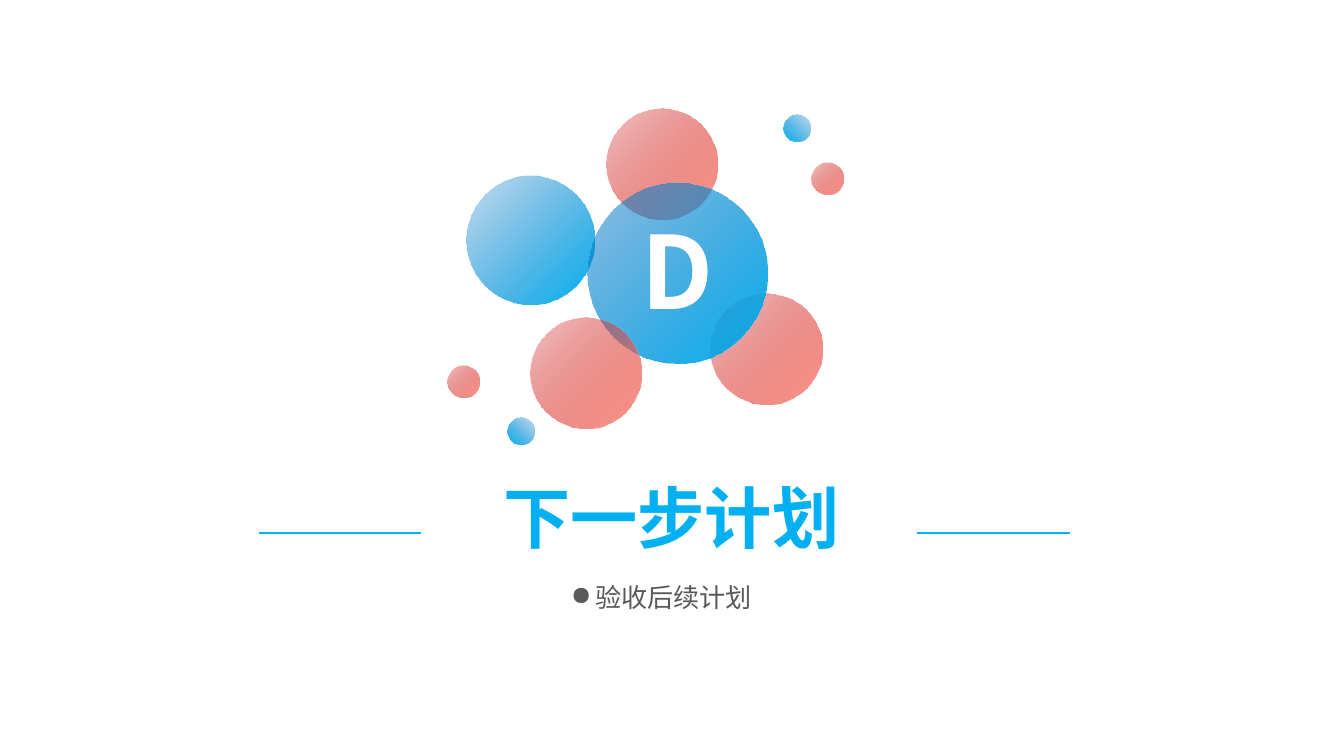
from dataclasses import dataclass

from lxml import etree
from pptx import Presentation
from pptx.dml.color import RGBColor
from pptx.enum.shapes import MSO_CONNECTOR, MSO_SHAPE
from pptx.enum.text import MSO_ANCHOR, PP_ALIGN
from pptx.oxml.ns import qn
from pptx.util import Pt

OVAL = MSO_SHAPE.OVAL
STRAIGHT = MSO_CONNECTOR.STRAIGHT
MIDDLE = MSO_ANCHOR.MIDDLE
CENTER, LEFT = PP_ALIGN.CENTER, PP_ALIGN.LEFT

FONT = "Noto Sans CJK SC"
RED = ("C00000", "FE978C")
BLUE = ("0070C0", "00B0F0")
TO_LOWER_RIGHT, TO_LOWER_LEFT = 315, 225


@dataclass
class Bubble:
    left: float
    top: float
    diameter: float
    colors: tuple[str, str]
    angle: int = TO_LOWER_RIGHT
    opacity: int = 22  # percent, at the first gradient stop


@dataclass
class Label:
    text: str
    left: float
    top: float
    width: float
    height: float
    size: float
    color: str
    bold: bool = False
    align: PP_ALIGN = CENTER
    inset: float = 3
    wrap: bool = True
    spacing: float = 0
    bullet: str = ""


BUBBLES = [
    Bubble(324.7, 58.1, 59.5, RED),
    Bubble(380.9, 157, 59.5, RED),
    Bubble(249.8, 94.2, 68.7, BLUE),
    Bubble(314.8, 98, 96.6, BLUE, opacity=44),
    Bubble(419.6, 61.2, 14.6, BLUE, TO_LOWER_LEFT),
    Bubble(434.8, 87.2, 17, RED),
    Bubble(284.4, 170.2, 59.5, RED),
    Bubble(271.8, 223.8, 14.6, BLUE, TO_LOWER_LEFT),
    Bubble(239.8, 195.9, 17, RED),
]
LABELS = [
    Label("D", 315.4, 108.7, 95, 70.6, 54, "FFFFFF", bold=True, spacing=-2.2),
    Label("下一步计划", 208.1, 252, 303.1, 49, 36, "00B0F0", bold=True),
    Label("验收后续计划", 303.8, 309.6, 101.5, 20.9, 14, "595959",
          align=LEFT, inset=2, wrap=False, bullet="●"),
]
RULE_Y = 285.6
RULES = [(138.8, 225.5), (491.3, 573.2)]


def rgb(value: str) -> RGBColor:
    return RGBColor.from_string(value)


def draw_bubble(slide, bubble: Bubble) -> None:
    circle = slide.shapes.add_shape(OVAL, Pt(bubble.left), Pt(bubble.top),
                                    Pt(bubble.diameter), Pt(bubble.diameter))
    circle.shadow.inherit = False
    circle.line.fill.background()
    circle.fill.gradient()
    circle.fill.gradient_angle = bubble.angle
    for stop, color in zip(circle.fill.gradient_stops, bubble.colors):
        stop.color.rgb = rgb(color)
    first_color = next(circle.element.iter(qn("a:srgbClr")))
    etree.SubElement(first_color, qn("a:alpha"), val=str(bubble.opacity * 1000))


def draw_label(slide, label: Label) -> None:
    box = slide.shapes.add_textbox(Pt(label.left), Pt(label.top),
                                   Pt(label.width), Pt(label.height))
    frame = box.text_frame
    frame.word_wrap = label.wrap
    frame.vertical_anchor = MIDDLE
    frame.margin_left = frame.margin_right = Pt(label.inset)
    frame.margin_top = frame.margin_bottom = Pt(label.inset)
    line = frame.paragraphs[0]
    line.text = label.text
    line.alignment = label.align
    line.font.name = FONT
    line.font.size = Pt(label.size)
    line.font.bold = label.bold
    line.font.color.rgb = rgb(label.color)

    # East Asian font, letter spacing and bullet
    properties = line._p.get_or_add_pPr()
    characters = properties.find(qn("a:defRPr"))
    latin = characters.find(qn("a:latin"))
    latin.addnext(etree.Element(qn("a:ea"), typeface=FONT))
    if label.spacing:
        characters.set("spc", str(round(label.spacing * 100)))
    if label.bullet:
        properties.set("marL", str(Pt(13)))
        properties.set("indent", str(-Pt(13)))
        properties.insert(0, etree.Element(qn("a:buChar"), char=label.bullet))


def draw_rule(slide, start: float, end: float) -> None:
    rule = slide.shapes.add_connector(STRAIGHT, Pt(start), Pt(RULE_Y),
                                      Pt(end), Pt(RULE_Y))
    rule.line.color.rgb = rgb("00B0F0")
    rule.line.width = Pt(0.75)
    etree.SubElement(rule.element.spPr, qn("a:effectLst"))


def main() -> None:
    deck = Presentation()
    deck.slide_width, deck.slide_height = Pt(720), Pt(405)
    slide = deck.slides.add_slide(deck.slide_layouts[6])

    # Bubble cluster
    for bubble in BUBBLES:
        draw_bubble(slide, bubble)

    # Section letter, title and topic
    for label in LABELS:
        draw_label(slide, label)

    # Rules on both sides of the title
    for start, end in RULES:
        draw_rule(slide, start, end)

    deck.save("out.pptx")


if __name__ == "__main__":
    main()
